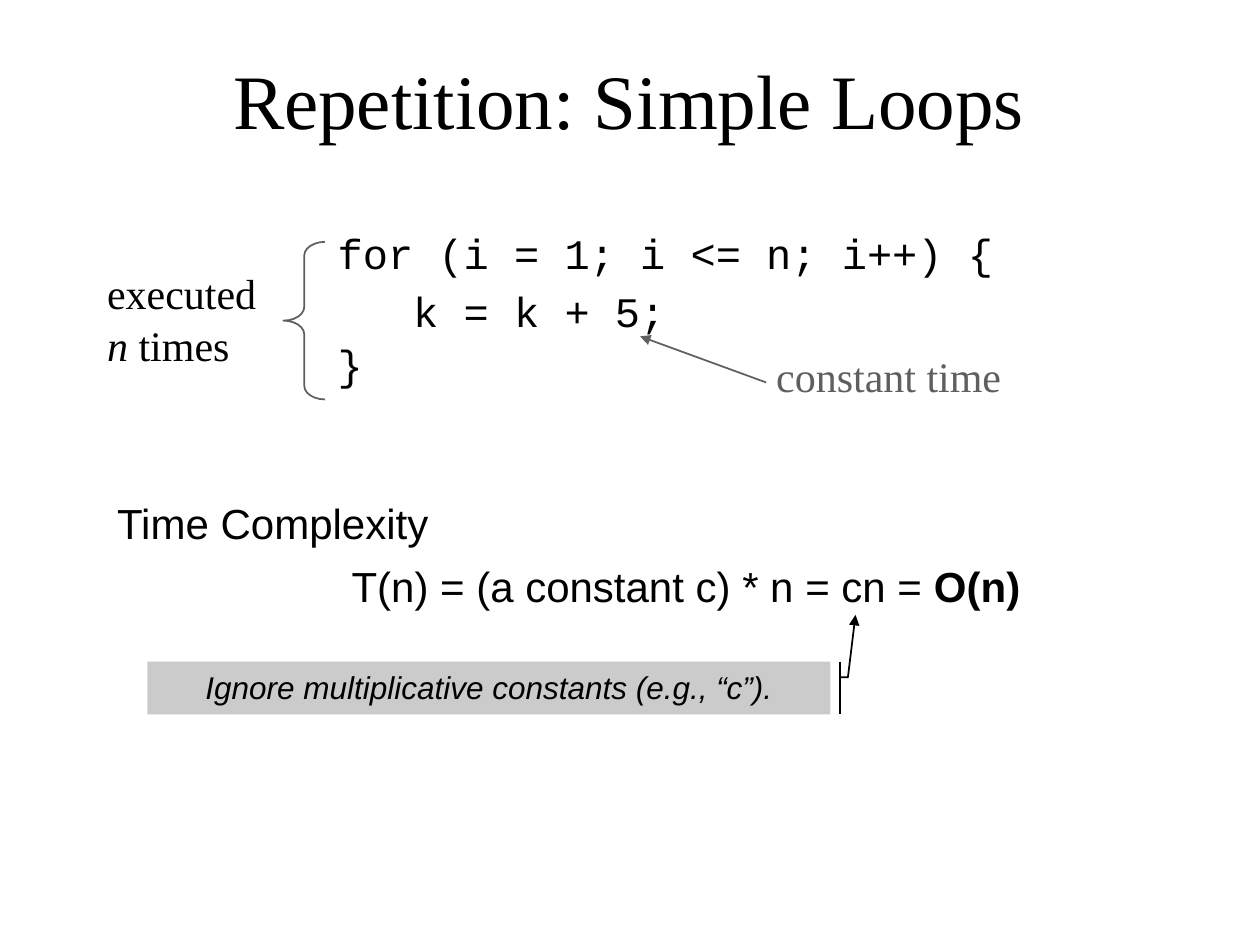
from dataclasses import dataclass

import pptx
import pptx.dml.color
import pptx.enum.shapes
import pptx.enum.text
import pptx.oxml
import pptx.oxml.ns
import pptx.util

BLACK = pptx.dml.color.RGBColor(0x00, 0x00, 0x00)
GRAY = pptx.dml.color.RGBColor(0x5F, 0x5F, 0x5F)
LIGHT = pptx.dml.color.RGBColor(0xCB, 0xCB, 0xCB)
SERIF, SANS, MONO = "Times New Roman", "Arial", "Courier New"
WIDTH, HEIGHT = pptx.util.Inches(10), pptx.util.Inches(7.5)


@dataclass
class Run:
    text: str
    bold: bool = False
    italic: bool = False


@dataclass
class Line:
    runs: list[Run]
    indent: float = 0.01
    before: float = 0


@dataclass
class Label:
    box: tuple[float, float, float, float]
    lines: list[Line]
    font: str
    size: float = 24
    color: pptx.dml.color.RGBColor = BLACK
    top_inset: float = 0.01
    spacing: float = 1
    fill: pptx.dml.color.RGBColor | None = None


LABELS = [
    Label((18.4, 5.47, 63.6, 10.13), [Line([Run("Repetition: Simple Loops")])], SERIF, 44),
    Label((9.2, 51.2, 71.9, 13.73), [
        Line([Run("Time Complexity")]),
        Line([Run("T(n) = (a constant c) * n = cn = "), Run("O(n)", bold=True)], 1.87, 7.2),
    ], SANS, top_inset=0.11),
    Label((26.7, 23.33, 52.4, 12.27), [
        Line([Run("for (i = 1; i <= n; i++) {")]),
        Line([Run("   k = k + 5;")], before=1),
    ], MONO, spacing=1.12),
    Label((26.7, 35.73, 2.3, 5.73), [Line([Run("}")])], MONO),
    Label((61.5, 36.93, 18.5, 5.73), [Line([Run("constant time")])], SERIF, color=GRAY),
    Label((8.4, 28.13, 12.5, 11.07), [
        Line([Run("executed")]),
        Line([Run("n ", italic=True), Run("times")], before=1),
    ], SERIF),
    Label((11.7, 70, 54.2, 5.6), [
        Line([Run("Ignore multiplicative constants (e.g., “c”).", italic=True)], 0.46),
    ], SANS, 18, top_inset=0.05, fill=LIGHT),
]


def across(share: float) -> int:
    return round(WIDTH * share / 100)


def down(share: float) -> int:
    return round(HEIGHT * share / 100)


def place(box: tuple[float, float, float, float]) -> tuple[int, int, int, int]:
    left, top, width, height = box
    return across(left), down(top), across(width), down(height)


def add_label(s: pptx.slide.Slide, label: Label) -> None:
    if label.fill is None:
        sp = s.shapes.add_textbox(*place(label.box))
    else:
        sp = s.shapes.add_shape(pptx.enum.shapes.MSO_SHAPE.RECTANGLE, *place(label.box))
        sp.shadow.inherit = False
        sp.fill.solid()
        sp.fill.fore_color.rgb = label.fill
        sp.line.fill.background()
    tf = sp.text_frame
    tf.word_wrap = True
    tf.vertical_anchor = pptx.enum.text.MSO_ANCHOR.TOP
    tf.margin_left = tf.margin_right = tf.margin_bottom = 0
    tf.margin_top = pptx.util.Inches(label.top_inset)
    for i, line in enumerate(label.lines):
        p = tf.add_paragraph() if i else tf.paragraphs[0]
        p.alignment = pptx.enum.text.PP_ALIGN.LEFT
        p.line_spacing = label.spacing
        p.space_before = pptx.util.Pt(line.before)
        p._p.get_or_add_pPr().set("marL", str(pptx.util.Inches(line.indent)))
        for run in line.runs:
            r = p.add_run()
            r.text = run.text
            r.font.name = label.font
            r.font.size = pptx.util.Pt(label.size)
            r.font.bold = run.bold
            r.font.italic = run.italic
            r.font.color.rgb = label.color


def style_line(sp, color: pptx.dml.color.RGBColor, arrow: bool = False) -> None:
    sp.line.color.rgb = color
    sp.line.width = pptx.util.Pt(1)
    if arrow:
        head = pptx.oxml.parse_xml(
            f'<a:tailEnd {pptx.oxml.ns.nsdecls("a")} type="triangle" w="med" len="med"/>')
        sp.line._get_or_add_ln().append(head)


def add_line(s: pptx.slide.Slide, start: tuple[float, float], end: tuple[float, float],
             color: pptx.dml.color.RGBColor, arrow: bool = False) -> None:
    sp = s.shapes.add_connector(
        pptx.enum.shapes.MSO_CONNECTOR.STRAIGHT,
        across(start[0]), down(start[1]), across(end[0]), down(end[1]))
    style_line(sp, color, arrow)
    sp._element.spPr.append(
        pptx.oxml.parse_xml(f'<a:effectLst {pptx.oxml.ns.nsdecls("a")}/>'))


def add_brace(s: pptx.slide.Slide, box: tuple[float, float, float, float]) -> None:
    sp = s.shapes.add_shape(pptx.enum.shapes.MSO_SHAPE.LEFT_BRACE, *place(box))
    sp.shadow.inherit = False
    sp.adjustments[0] = 0.33
    sp.fill.background()
    style_line(sp, GRAY)


def add_bent_arrow(s: pptx.slide.Slide, points: list[tuple[float, float]]) -> None:
    corners = [(across(x), down(y)) for x, y in points]
    builder = s.shapes.build_freeform(*corners[0])
    builder.add_line_segments(corners[1:], close=False)
    sp = builder.convert_to_shape()
    sp.shadow.inherit = False
    sp.fill.background()
    style_line(sp, BLACK, arrow=True)


def main() -> None:
    prs = pptx.Presentation()
    prs.slide_width, prs.slide_height = WIDTH, HEIGHT
    s = prs.slides.add_slide(prs.slide_layouts[6])
    for label in LABELS:
        add_label(s, label)
    add_line(s, (60.8, 40.47), (50.8, 35.6), GRAY, arrow=True)
    add_brace(s, (22.5, 25.6, 3.3, 16.67))
    add_line(s, (66.65, 70), (66.65, 75.6), BLACK)
    add_bent_arrow(s, [(66.65, 71.67), (67.3, 71.67), (67.9, 65.07)])
    prs.save("out.pptx")


if __name__ == "__main__":
    main()
